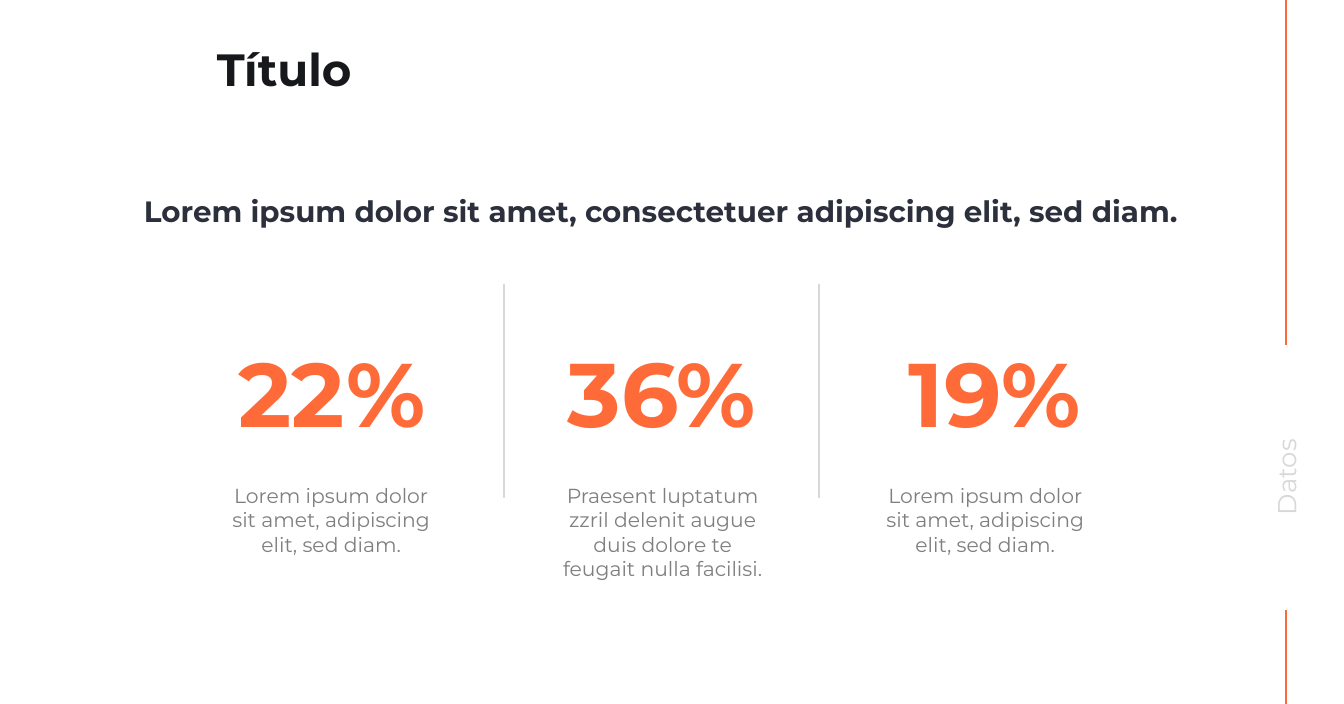
"""Build the data slide: a title, a headline and three percentages with captions."""
from pptx import Presentation
from pptx.dml.color import RGBColor
from pptx.enum.shapes import MSO_CONNECTOR
from pptx.enum.text import MSO_ANCHOR as Anchor, PP_ALIGN as Align
from pptx.oxml.ns import qn
from pptx.util import Pt
from lxml.etree import SubElement

ORANGE, PALE, GREY = "FF6A39", "D8D8D8", "7F7F7F"
WIDTH, HEIGHT = 1190.88, 623.52


def rgb(code):
    return RGBColor.from_string(code)


def write(text, box, size, color, bold=False, align=Align.LEFT, anchor=Anchor.TOP):
    label = slide.shapes.add_textbox(*map(Pt, box))
    frame = label.text_frame
    frame.text = text
    frame.word_wrap = True
    frame.vertical_anchor = anchor
    frame.margin_left = frame.margin_right = Pt(11.5)
    frame.margin_top = frame.margin_bottom = Pt(11.5)
    paragraph = frame.paragraphs[0]
    paragraph.alignment = align
    font = paragraph.runs[0].font
    font.name, font.size, font.bold = "Montserrat", Pt(size), bold
    font.color.rgb = rgb(color)
    return label


deck = Presentation()
deck.slide_width, deck.slide_height = Pt(WIDTH), Pt(HEIGHT)
slide = deck.slides.add_slide(deck.slide_layouts[6])
slide.background.fill.solid()
slide.background.fill.fore_color.rgb = rgb("FFFFFF")

write("Título", (180.7, 32.4, 725.8, 56.2), 40, "16181C", bold=True, anchor=Anchor.MIDDLE)
write("Lorem ipsum dolor sit amet, consectetuer adipiscing elit, sed diam.",
      (115.9, 159.8, 942.5, 136.8), 26, "2B303C", bold=True)
section = write("Datos", (1021.7, 396.7, 236.9, 51.8), 23, PALE, align=Align.CENTER)
section.rotation = 270

rules = [
    (1139.8, 0, 305.3, ORANGE, 1.5),
    (1139.8, 540, HEIGHT, ORANGE, 1.5),
    (446.4, 251.3, 441.4, PALE, 2.25),
    (725.8, 251.3, 441.4, PALE, 2.25),
]
for x, top, bottom, color, weight in rules:
    rule = slide.shapes.add_connector(MSO_CONNECTOR.STRAIGHT, Pt(x), Pt(top), Pt(x), Pt(bottom))
    rule.line.color.rgb = rgb(color)
    rule.line.width = Pt(weight)
    SubElement(rule._element.spPr, qn("a:effectLst"))

figures = [
    ("22%", 167.8, "Lorem ipsum dolor sit amet, adipiscing elit, sed diam.", 193),
    ("36%", 460.1, "Praesent luptatum zzril delenit augue duis dolore te feugait nulla facilisi.", 486.7),
    ("19%", 755.3, "Lorem ipsum dolor sit amet, adipiscing elit, sed diam.", 772.6),
]
for percentage, figure_left, caption, caption_left in figures:
    write(percentage, (figure_left, 239.8, 252.7, 213.1), 80, ORANGE,
          bold=True, align=Align.CENTER, anchor=Anchor.MIDDLE)
    write(caption, (caption_left, 416.2, 200.9, 150.5), 18, GREY, align=Align.CENTER)

deck.save("out.pptx")
